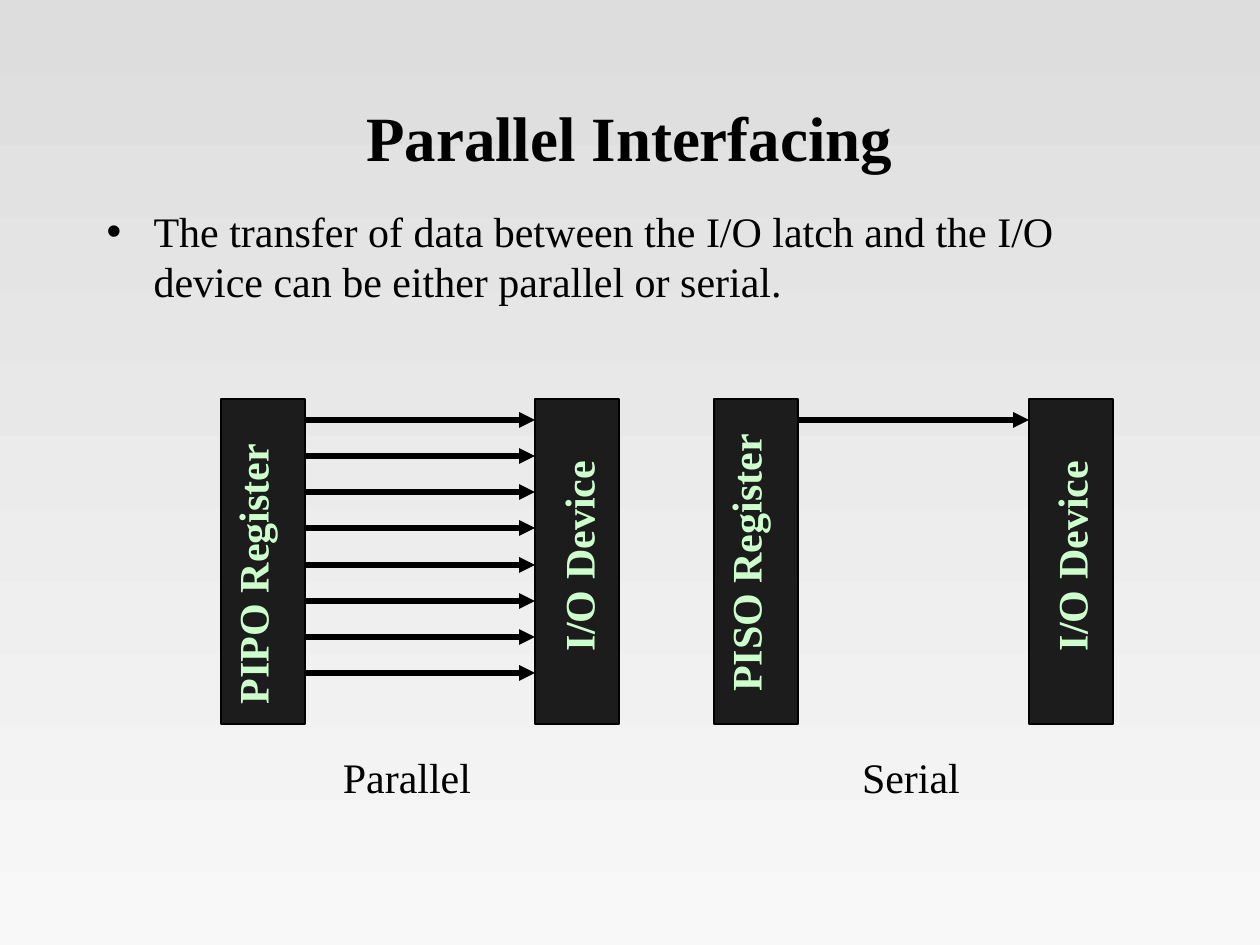
from lxml import etree
from pptx import Presentation
from pptx import util as u
from pptx.dml.color import RGBColor
from pptx.enum import shapes, text
from pptx.oxml.ns import qn

PX = 914400 / 126
FONT = "Times New Roman"
COLORS = {
    "ink": "000000",
    "block": "1C1C1C",
    "label": "CCFFCC",
    "top": "DDDDDD",
    "bottom": "F8F8F8",
}
BLOCK_TOP, BLOCK_W, BLOCK_H = 399, 84, 325
LINE_TOP, LINE_SPAN, LINE_COUNT = 420, 253, 8


def px(n):
    return u.Emu(round(n * PX))


def rgb(name):
    return RGBColor.from_string(COLORS[name])


def style(p, size, color="ink", bold=False):
    for r in p.runs:
        r.font.name = FONT
        r.font.size = u.Pt(size)
        r.font.bold = bold
        r.font.color.rgb = rgb(color)


def set_background(s):
    fill = s.background.fill
    fill.gradient()
    fill.gradient_angle = 270
    for stop, name in zip(fill.gradient_stops, ("top", "bottom")):
        stop.color.rgb = rgb(name)


def fill_placeholder(sp, box, words, size, bold=False):
    sp.left, sp.top, sp.width, sp.height = map(px, box)
    tf = sp.text_frame
    tf.text = words
    tf.auto_size = text.MSO_AUTO_SIZE.NONE
    p = tf.paragraphs[0]
    style(p, size, bold=bold)
    return p


def add_bullet(p):
    p.space_before = u.Pt(6)
    pPr = p._p.get_or_add_pPr()
    pPr.set("marL", str(px(47)))
    pPr.set("indent", str(-px(47)))
    etree.SubElement(pPr, qn("a:buChar")).set("char", "•")


def add_block(s, x):
    sp = s.shapes.add_shape(shapes.MSO_SHAPE.RECTANGLE,
                            px(x), px(BLOCK_TOP), px(BLOCK_W), px(BLOCK_H))
    sp.shadow.inherit = False
    sp.fill.solid()
    sp.fill.fore_color.rgb = rgb("block")
    sp.line.color.rgb = rgb("ink")
    sp.line.width = u.Pt(0.75)


def add_arrow(s, x1, x2, y):
    cn = s.shapes.add_connector(shapes.MSO_CONNECTOR.STRAIGHT,
                                px(x1), px(y), px(x2), px(y))
    cn.line.color.rgb = rgb("ink")
    cn.line.width = u.Pt(3)
    etree.SubElement(cn.line._get_or_add_ln(), qn("a:tailEnd")).set("type", "triangle")
    etree.SubElement(cn._element.spPr, qn("a:effectLst"))


def add_label(s, words, cx, cy, w, color="ink", bold=False, rotation=0):
    """Place one line of text centred on (cx, cy)."""
    h = 63
    sp = s.shapes.add_textbox(px(cx - w / 2), px(cy - h / 2), px(w), px(h))
    sp.rotation = rotation
    tf = sp.text_frame
    tf.text = words
    tf.word_wrap = False
    tf.auto_size = text.MSO_AUTO_SIZE.SHAPE_TO_FIT_TEXT
    p = tf.paragraphs[0]
    p.alignment = text.PP_ALIGN.CENTER
    style(p, 24, color, bold)


def add_link(s, register_x, device_x, line_count):
    """Draw a register and a device joined by evenly spaced data lines."""
    add_block(s, register_x)
    for i in range(line_count):
        y = LINE_TOP + round(i * LINE_SPAN / (LINE_COUNT - 1))
        add_arrow(s, register_x + BLOCK_W, device_x, y)
    add_block(s, device_x)


def main():
    prs = Presentation()
    prs.slide_width, prs.slide_height = px(1260), px(945)
    s = prs.slides.add_slide(prs.slide_layouts[1])
    set_background(s)

    title = fill_placeholder(s.shapes.title, (94, 84, 1071, 105),
                             "Parallel Interfacing", 36, bold=True)
    title.alignment = text.PP_ALIGN.CENTER
    body = fill_placeholder(
        s.placeholders[1], (94, 199, 1071, 126),
        "The transfer of data between the I/O latch and the I/O device "
        "can be either parallel or serial.", 24)
    add_bullet(body)

    add_link(s, 221, 535, LINE_COUNT)
    add_link(s, 714, 1029, 1)

    for words, cx, cy, w in (("PIPO Register", 252, 574, 290),
                             ("PISO Register", 745, 563, 290),
                             ("I/O Device", 578, 556, 220),
                             ("I/O Device", 1071, 556, 220)):
        add_label(s, words, cx, cy, w, "label", bold=True, rotation=270)
    add_label(s, "Parallel", 407, 777, 160)
    add_label(s, "Serial", 911, 777, 130)

    prs.save("out.pptx")


if __name__ == "__main__":
    main()
